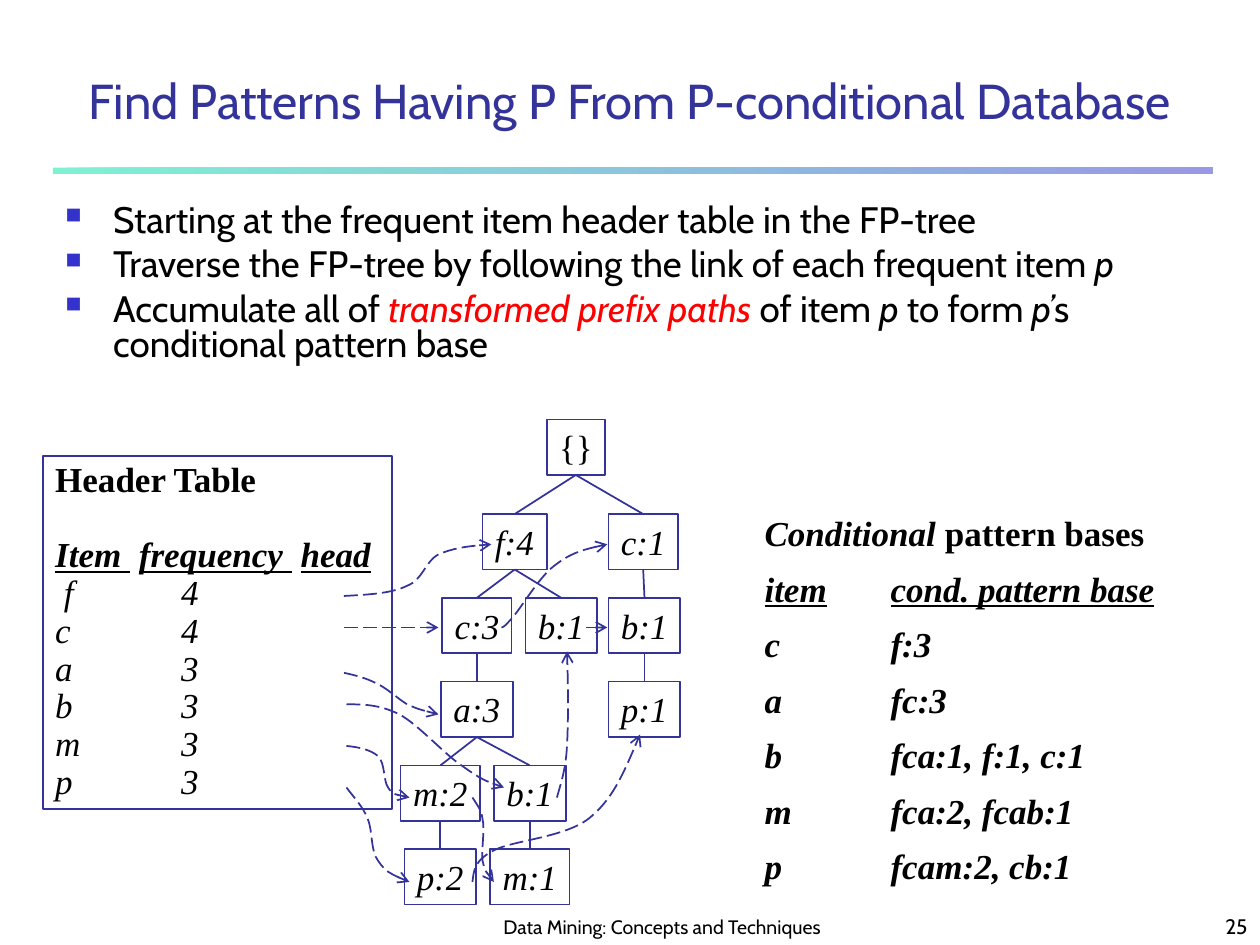
from dataclasses import dataclass

from lxml import etree
from pptx import Presentation
from pptx.dml.color import RGBColor
from pptx.enum import dml, shapes, text
from pptx.oxml.ns import qn
from pptx.util import Inches, Pt

COLORS = {"ink": "000000", "line": "333399", "bullet": "3333CC", "accent": "FF0000", "mint": "00E4A8"}
SERIF, SANS = "Times New Roman", "Cabin"
NODE_H = 0.44
TOPS = [3.33] + [4.08 + 0.665 * i for i in range(5)]


@dataclass
class Run:
    text: str
    italic: bool = False
    bold: bool = False
    underline: bool = False
    color: str = "ink"
    tracking: float = 0


@dataclass
class Para:
    runs: list[Run]
    spacing: float = 1.0
    before: float = 0
    hanging: float = 0
    tab: float = 0
    align: text.PP_ALIGN = text.PP_ALIGN.LEFT


@dataclass
class Node:
    label: str
    level: int
    left: float
    width: float
    parent: int | None = None

    @property
    def center(self) -> float:
        return self.left + self.width / 2


NODES = [
    Node("{}", 0, 4.34, 0.46),
    Node("f:4", 1, 3.83, 0.51, 0),
    Node("c:1", 1, 4.83, 0.55, 0),
    Node("c:3", 2, 3.51, 0.55, 1),
    Node("b:1", 2, 4.17, 0.57, 1),
    Node("b:1", 2, 4.83, 0.57, 2),
    Node("a:3", 3, 3.50, 0.57, 3),
    Node("p:1", 3, 4.83, 0.57, 5),
    Node("m:2", 4, 3.18, 0.63, 6),
    Node("b:1", 4, 3.92, 0.57, 6),
    Node("p:2", 5, 3.21, 0.57, 8),
    Node("m:1", 5, 3.89, 0.63, 9),
]
STRAIGHT_LINKS = [((2.73, 4.98), (3.48, 4.98)), ((4.65, 4.98), (4.82, 4.98))]
CURVED_LINKS = [
    [(2.73, 4.73), (2.92, 4.72), (3.11, 4.71), (3.23, 4.65), (3.36, 4.6), (3.37, 4.46), (3.48, 4.4),
     (3.6, 4.35), (3.75, 4.33), (3.9, 4.32)],
    [(3.98, 4.98), (3.99, 4.98), (4, 4.98), (4.07, 4.9), (4.14, 4.82), (4.28, 4.58), (4.4, 4.49),
     (4.53, 4.39), (4.67, 4.35), (4.82, 4.32)],
    [(2.73, 5.34), (2.82, 5.36), (2.9, 5.38), (2.98, 5.42), (3.07, 5.46), (3.15, 5.54), (3.23, 5.59),
     (3.32, 5.63), (3.4, 5.65), (3.48, 5.67)],
    [(2.75, 5.59), (2.88, 5.59), (3.01, 5.59), (3.17, 5.67), (3.32, 5.75), (3.53, 5.99), (3.67, 6.08),
     (3.81, 6.18), (3.9, 6.22), (4, 6.25)],
    [(4.42, 6.33), (4.45, 6.22), (4.49, 6.11), (4.5, 5.92), (4.51, 5.72), (4.51, 5.45), (4.5, 5.17)],
    [(2.75, 5.92), (2.85, 5.93), (2.94, 5.95), (3, 6), (3.06, 6.06), (3.04, 6.19), (3.08, 6.25),
     (3.12, 6.31), (3.19, 6.32), (3.25, 6.33)],
    [(3.75, 6.33), (3.78, 6.38), (3.82, 6.42), (3.83, 6.5), (3.85, 6.58), (3.82, 6.75), (3.83, 6.83),
     (3.85, 6.92), (3.88, 6.96), (3.92, 7)],
    [(2.75, 6.25), (2.81, 6.33), (2.88, 6.4), (2.92, 6.5), (2.96, 6.6), (2.94, 6.75), (3, 6.83),
     (3.06, 6.92), (3.15, 6.96), (3.25, 7)],
    [(3.75, 7), (3.76, 6.92), (3.76, 6.83), (3.92, 6.75), (4.07, 6.67), (4.47, 6.65), (4.67, 6.5),
     (4.86, 6.35), (4.97, 6.09), (5.08, 5.83)],
]
BULLETS = [
    [Run("Starting at the frequent item header table in the FP-tree")],
    [Run("Traverse the FP-tree by following the link of each frequent item "), Run("p", italic=True)],
    [Run("Accumulate all of "), Run("transformed prefix paths", italic=True, color="accent"),
     Run(" of item "), Run("p ", italic=True), Run("to form "), Run("p’", italic=True),
     Run("s conditional pattern base")],
]
COUNTS = {" f": 4, "c": 4, "a": 3, "b": 3, "m": 3, "p": 3}
BASES = {"c": "f:3", "a": "fc:3", "b": "fca:1, f:1, c:1", "m": "fca:2, fcab:1", "p": "fcam:2, cb:1"}


def rgb(name: str) -> RGBColor:
    return RGBColor.from_string(COLORS[name])


def write(tf, paras: list[Para], font: str, size: float, anchor=text.MSO_ANCHOR.TOP, wrap=True) -> None:
    tf.word_wrap, tf.vertical_anchor = wrap, anchor
    for i, para in enumerate(paras):
        p = tf.paragraphs[0] if i == 0 else tf.add_paragraph()
        p.alignment, p.line_spacing, p.space_before = para.align, para.spacing, Pt(para.before)
        pPr = p._p.get_or_add_pPr()
        if para.hanging:
            pPr.set("marL", str(Inches(para.hanging)))
            pPr.set("indent", str(-Inches(para.hanging)))
            color = etree.SubElement(pPr, qn("a:buClr"))
            etree.SubElement(color, qn("a:srgbClr"), val=COLORS["bullet"])
            etree.SubElement(pPr, qn("a:buSzPct"), val="60000")
            etree.SubElement(pPr, qn("a:buChar"), char="■")
        if para.tab:
            stops = etree.SubElement(pPr, qn("a:tabLst"))
            etree.SubElement(stops, qn("a:tab"), pos=str(Inches(para.tab)), algn="l")
        for run in para.runs:
            r = p.add_run()
            r.text = run.text
            r.font.name, r.font.size = font, Pt(size)
            r.font.bold, r.font.italic, r.font.underline = run.bold, run.italic, run.underline
            r.font.color.rgb = rgb(run.color)
            if run.tracking:
                r._r.get_or_add_rPr().set("spc", str(int(run.tracking * 100)))


def add_text(s, box: tuple[float, ...], paras: list[Para], font: str, size: float, **options) -> None:
    write(s.shapes.add_textbox(*map(Inches, box)).text_frame, paras, font, size, **options)


def add_box(s, box: tuple[float, ...], paras: list[Para]) -> None:
    sp = s.shapes.add_shape(shapes.MSO_SHAPE.RECTANGLE, *map(Inches, box))
    sp.shadow.inherit = False
    sp.fill.background()
    style_line(sp.line)
    write(sp.text_frame, paras, SERIF, 20, wrap=False)


def style_line(line, arrow: bool = False) -> None:
    line.color.rgb, line.width = rgb("line"), Pt(1)
    if arrow:
        line.dash_style = dml.MSO_LINE.LONG_DASH
        etree.SubElement(line._get_or_add_ln(), qn("a:tailEnd"), type="arrow")


def add_line(s, start: tuple[float, float], end: tuple[float, float], arrow: bool = False) -> None:
    sp = s.shapes.add_connector(shapes.MSO_CONNECTOR.STRAIGHT, *map(Inches, start + end))
    style_line(sp.line, arrow)
    etree.SubElement(sp._element.spPr, qn("a:effectLst"))


def add_curve(s, points: list[tuple[float, float]]) -> None:
    start, *rest = [(Inches(x), Inches(y)) for x, y in points]
    builder = s.shapes.build_freeform(*start)
    builder.add_line_segments(rest, close=False)
    sp = builder.convert_to_shape()
    sp.shadow.inherit = False
    sp.fill.background()
    style_line(sp.line, arrow=True)
    segments = list(sp._element.iter(qn("a:lnTo")))
    for i in range(0, len(segments), 3):
        curve = etree.Element(qn("a:cubicBezTo"))
        segments[i].addprevious(curve)
        for segment in segments[i:i + 3]:
            curve.append(segment[0])
            segment.getparent().remove(segment)


def add_rule(s) -> None:
    sp = s.shapes.add_shape(shapes.MSO_SHAPE.RECTANGLE, *map(Inches, (0.42, 1.33, 9.2, 0.05)))
    sp.shadow.inherit = False
    sp.line.fill.background()
    sp.fill.gradient()
    sp.fill.gradient_angle = 0
    for stop, color in zip(sp.fill.gradient_stops, ("mint", "bullet")):
        stop.color.rgb = rgb(color)
    for color in sp._element.spPr.iter(qn("a:srgbClr")):
        etree.SubElement(color, qn("a:alpha"), val="50000")


def add_tree(s) -> None:
    for node in NODES:
        top = TOPS[node.level]
        add_box(s, (node.left, top, node.width, NODE_H), [Para([Run(node.label, italic=node.level > 0)])])
        if node.parent is not None:
            parent = NODES[node.parent]
            add_line(s, (parent.center, TOPS[parent.level] + NODE_H), (node.center, top))


def main() -> None:
    """Build the slide on finding patterns from a conditional database."""
    prs = Presentation()
    prs.slide_width, prs.slide_height = Inches(10), Inches(7.5)
    s = prs.slides.add_slide(prs.slide_layouts[6])
    bottom, center, right = text.MSO_ANCHOR.BOTTOM, text.PP_ALIGN.CENTER, text.PP_ALIGN.RIGHT
    add_rule(s)
    add_text(s, (3.67, 7.08, 3.17, 0.42), [Para([Run("Data Mining: Concepts and Techniques")], align=center)],
             SANS, 11.1, anchor=bottom)
    add_text(s, (7.92, 7.08, 2.08, 0.42), [Para([Run("25")], align=right)], SANS, 12, anchor=bottom)
    title = Run("Find Patterns Having P From P-conditional Database", color="line")
    add_text(s, (0.33, 0.33, 9.33, 0.75), [Para([title], 0.9, align=center)], SANS, 28, anchor=bottom)
    add_text(s, (0.42, 1.58, 9.17, 1.67), [Para(runs, 0.8, 5.2, 0.38) for runs in BULLETS], SANS, 21)

    heading = Para([Run("Conditional ", True, True), Run("pattern bases", bold=True)], before=12.5)
    rows = [Run("item\tcond. pattern base", True, True, True)]
    rows += [Run(f"{item}\t{base}", True, True) for item, base in BASES.items()]
    add_text(s, (5.97, 4.01, 3.64, 3.08), [heading] + [Para([r], 0.8, 12.5, tab=1) for r in rows], SERIF, 20)

    add_tree(s)
    wide_space = Run(" ", True, True, True, tracking=5)
    item, frequency, head = (Run(word, True, True, True) for word in ("Item", "frequency", "head"))
    header = [Para([Run("Header Table", bold=True)], 0.9),
              Para([item, wide_space, frequency, wide_space, head], 0.9, 21.4)]
    header += [Para([Run(f"{name}\t{count}", italic=True)], 0.9, tab=1) for name, count in COUNTS.items()]
    add_box(s, (0.34, 3.62, 2.77, 2.8), header)
    for start, end in STRAIGHT_LINKS:
        add_line(s, start, end, arrow=True)
    for points in CURVED_LINKS:
        add_curve(s, points)
    prs.save("out.pptx")


if __name__ == "__main__":
    main()
